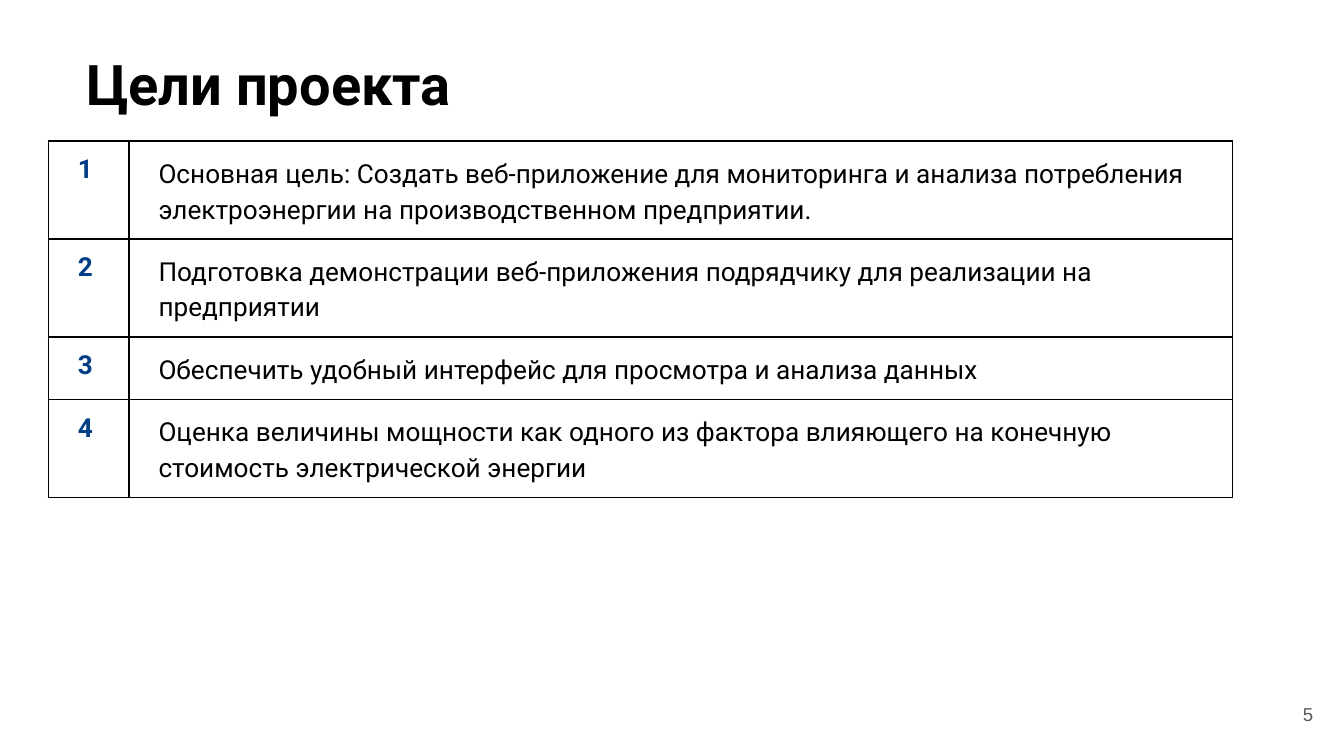
from lxml.etree import SubElement
from pptx import Presentation
from pptx.dml.color import RGBColor
from pptx.enum.text import MSO_ANCHOR as Anchor, MSO_AUTO_SIZE as AutoSize, PP_ALIGN as Align
from pptx.oxml.ns import qn
from pptx.util import Pt

COLORS = {"text": "000000", "number": "013D85", "page": "595959", "border": "000000", "background": "FFFFFF"}
TITLE = "Цели проекта"
PAGE_NUMBER = "5"
GOALS = [
    "Основная цель: Создать веб-приложение для мониторинга и анализа потребления электроэнергии на производственном предприятии.",
    "Подготовка демонстрации веб-приложения подрядчику для реализации на предприятии",
    "Обеспечить удобный интерфейс для просмотра и анализа данных",
    "Оценка величины мощности как одного из фактора влияющего на конечную стоимость электрической энергии",
]
COLUMN_WIDTHS = [43.2, 591.12]
ROW_HEIGHT = 30
PADDING = 7.2
CELL_INDENT = 15.84


def write_text(frame, text, size=14, font="Roboto", color="text", bold=False, align=Align.LEFT, spacing=1.0):
    paragraph = frame.paragraphs[0]
    paragraph.alignment = align
    paragraph.line_spacing = spacing
    run = paragraph.add_run()
    run.text = text
    run.font.size = Pt(size)
    run.font.name = font
    run.font.bold = bold
    run.font.color.rgb = RGBColor.from_string(COLORS[color])


def place(shape, left, top, width, height, anchor):
    shape.left, shape.top, shape.width, shape.height = map(Pt, (left, top, width, height))
    frame = shape.text_frame
    frame.word_wrap = True
    frame.auto_size = AutoSize.NONE
    frame.vertical_anchor = anchor
    frame.margin_left = frame.margin_right = Pt(PADDING)
    frame.margin_top = frame.margin_bottom = Pt(PADDING)
    return frame


def format_cell(cell):
    cell.margin_left = Pt(CELL_INDENT)
    cell.margin_right = cell.margin_top = cell.margin_bottom = Pt(PADDING)
    cell.vertical_anchor = Anchor.TOP
    properties = cell._tc.get_or_add_tcPr()
    for side in ("a:lnL", "a:lnR", "a:lnT", "a:lnB"):
        line = SubElement(properties, qn(side), w=str(Pt(1)))
        fill = SubElement(line, qn("a:solidFill"))
        SubElement(fill, qn("a:srgbClr"), val=COLORS["border"])
    cell.fill.background()


def add_goals_table(slide):
    shape = slide.shapes.add_table(
        len(GOALS), len(COLUMN_WIDTHS), Pt(25.92), Pt(75.6), Pt(sum(COLUMN_WIDTHS)), Pt(ROW_HEIGHT * len(GOALS))
    )
    table = shape.table
    table.first_row = table.horz_banding = False
    for column, width in zip(table.columns, COLUMN_WIDTHS):
        column.width = Pt(width)
    for index, (row, goal) in enumerate(zip(table.rows, GOALS), start=1):
        row.height = Pt(ROW_HEIGHT)
        number_cell, goal_cell = row.cells
        write_text(number_cell.text_frame, str(index), color="number", bold=True)
        write_text(goal_cell.text_frame, goal, spacing=1.15)
        for cell in row.cells:
            format_cell(cell)


def main():
    presentation = Presentation()
    presentation.slide_width, presentation.slide_height = Pt(720), Pt(405)
    slide = presentation.slides.add_slide(presentation.slide_layouts[5])
    slide.background.fill.solid()
    slide.background.fill.fore_color.rgb = RGBColor.from_string(COLORS["background"])

    title_frame = place(slide.shapes.title, 38.88, 19.44, 671.04, 56.88, Anchor.TOP)
    write_text(title_frame, TITLE, size=30, bold=True)

    page_box = slide.shapes.add_textbox(0, 0, 0, 0)
    page_frame = place(page_box, 667.44, 367.2, 43.2, 30.96, Anchor.MIDDLE)
    write_text(page_frame, PAGE_NUMBER, size=10, font="Arial", color="page", align=Align.RIGHT)

    add_goals_table(slide)
    presentation.save("out.pptx")


if __name__ == "__main__":
    main()
